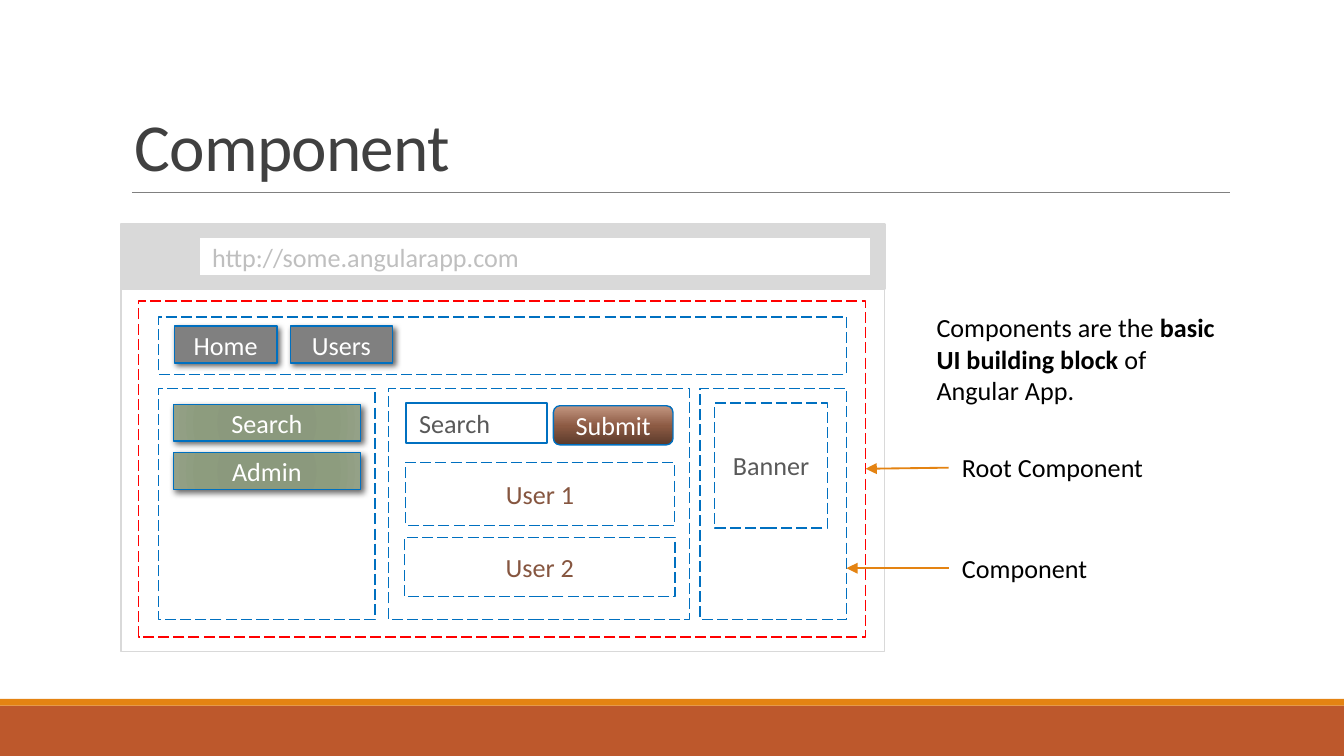
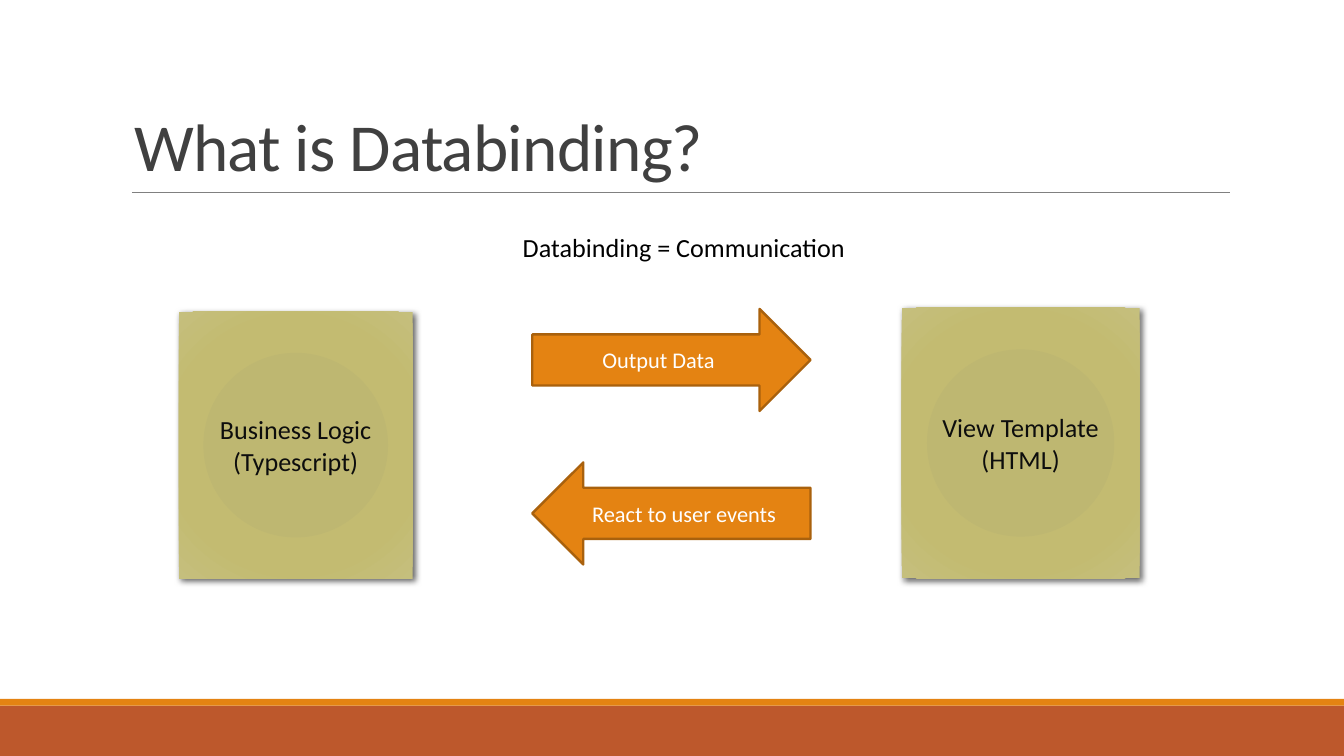
from lxml import etree
from pptx import Presentation
from pptx import util as u
from pptx.dml.color import RGBColor
from pptx.enum import dml, shapes, text
from pptx.oxml.ns import nsdecls, qn

Cm, Pt = u.Cm, u.Pt
SHAPE, ALIGN, ANCHOR = shapes.MSO_SHAPE, text.PP_ALIGN, text.MSO_ANCHOR

WHITE = RGBColor(0xFF, 0xFF, 0xFF)
BLACK = RGBColor(0x00, 0x00, 0x00)
INK = RGBColor(0x0D, 0x0D, 0x0D)
TITLE = RGBColor(0x40, 0x40, 0x40)
DARK_GREY = RGBColor(0x59, 0x59, 0x59)
GREY = RGBColor(0x80, 0x80, 0x80)
PALE_GREY = RGBColor(0xBF, 0xBF, 0xBF)
FRAME = RGBColor(0xD9, 0xD9, 0xD9)
RUST = RGBColor(0xBD, 0x58, 0x2C)
ORANGE = RGBColor(0xE4, 0x83, 0x12)
DARK_ORANGE = RGBColor(0xA9, 0x61, 0x0D)
BROWN = RGBColor(0x86, 0x56, 0x40)
BLUE = RGBColor(0x00, 0x70, 0xC0)
RED = RGBColor(0xFF, 0x00, 0x00)

# Gradients as (position %, colour) stops
SAGE = [(0, RGBColor(0x8A, 0x98, 0x7B)), (34, RGBColor(0x8B, 0x99, 0x7D)),
        (70, RGBColor(0x8D, 0x9C, 0x7E)), (100, RGBColor(0x94, 0xA1, 0x87))]
OLIVE = [(0, RGBColor(0xBE, 0xB7, 0x6E)), (34, RGBColor(0xBE, 0xB7, 0x71)),
         (70, RGBColor(0xC3, 0xBB, 0x71)), (100, RGBColor(0xC5, 0xBF, 0x7D))]
COPPER = [(0, RGBColor(0x5A, 0x3A, 0x2B)), (48, RGBColor(0x8C, 0x5A, 0x43)),
          (100, RGBColor(0xC2, 0x95, 0x80))]
RADIAL = ('<a:path path="circle"><a:fillToRect l="100000" t="100000" '
          'r="100000" b="100000"/></a:path>')
UPWARD = '<a:lin ang="16200000" scaled="0"/>'


def add_run(p, words, color, size=14, **formats):
    r = p.add_run()
    r.text = words
    formats = {"name": "Calibri", "size": Pt(size), **formats}
    for name, value in formats.items():
        setattr(r.font, name, value)
    r.font.color.rgb = color
    return r


def fill_gradient(s, stops, direction):
    marks = "".join(f'<a:gs pos="{pos * 1000}"><a:srgbClr val="{color}"/></a:gs>'
                    for pos, color in stops)
    xml = (f'<a:gradFill {nsdecls("a")} rotWithShape="1"><a:gsLst>{marks}</a:gsLst>'
           f'{direction}</a:gradFill>')
    s._element.spPr.find(qn("a:prstGeom")).addnext(etree.fromstring(xml))


def add_shadow(s, blur):
    xml = (f'<a:outerShdw {nsdecls("a")} blurRad="{Pt(blur)}" dist="{Pt(2)}" '
           'dir="2700000" algn="tl" rotWithShape="0"><a:srgbClr val="000000">'
           '<a:alpha val="60000"/></a:srgbClr></a:outerShdw>')
    s._element.spPr.find(qn("a:effectLst")).append(etree.fromstring(xml))


def add_box(slide, box, fill=None, line=None, width=0.75, dashed=False, shadow=0,
            words="", color=WHITE, size=14, align=ALIGN.CENTER,
            kind=SHAPE.RECTANGLE, direction=RADIAL):
    """Add a preset shape; fill is a colour, a list of gradient stops or None."""
    s = slide.shapes.add_shape(kind, *map(Cm, box))
    s.shadow.inherit = False
    if isinstance(fill, list):
        fill_gradient(s, fill, direction)
    elif fill is None:
        s.fill.background()
    else:
        s.fill.solid()
        s.fill.fore_color.rgb = fill
    if line is None:
        s.line.fill.background()
    else:
        s.line.color.rgb = line
        s.line.width = Pt(width)
    if dashed:
        s.line.dash_style = dml.MSO_LINE.LONG_DASH
    if shadow:
        add_shadow(s, shadow)
    if words:
        tf = s.text_frame
        tf.vertical_anchor = ANCHOR.MIDDLE
        for i, row in enumerate(words.split("\n")):
            p = tf.add_paragraph() if i else tf.paragraphs[0]
            p.alignment = align
            add_run(p, row, color, size)
    return s


def add_outline(slide, box, words="", color=DARK_GREY):
    """Add the dashed blue frame that marks a component."""
    add_box(slide, box, line=BLUE, dashed=True, words=words, color=color)


def add_label(slide, box, *parts, wrap=False):
    """Add a text box from (words, bold) parts."""
    tf = slide.shapes.add_textbox(*map(Cm, box)).text_frame
    tf.word_wrap = wrap
    tf.auto_size = text.MSO_AUTO_SIZE.SHAPE_TO_FIT_TEXT
    for words, bold in parts:
        add_run(tf.paragraphs[0], words, BLACK, bold=bold)


def add_line(slide, x1, y1, x2, y2, color, width, arrow=False):
    c = slide.shapes.add_connector(shapes.MSO_CONNECTOR.STRAIGHT,
                                   *map(Cm, (x1, y1, x2, y2)))
    c.line.color.rgb = color
    c.line.width = Pt(width)
    if arrow:
        etree.SubElement(c.line._get_or_add_ln(), qn("a:tailEnd"), type="triangle")
    etree.SubElement(c._element.spPr, qn("a:effectLst"))


def add_slide(prs, title):
    """Add a blank slide with the footer bands, title and title rule."""
    slide = prs.slides.add_slide(prs.slide_layouts[6])
    add_box(slide, (0, 13.34, 25.4, 0.95), RUST)
    add_box(slide, (0, 13.21, 25.4, 0.13), ORANGE)
    add_line(slide, 2.49, 3.63, 23.24, 3.63, GREY, 0.5)
    tf = slide.shapes.add_textbox(*map(Cm, (2.29, 0.61, 20.96, 3.02))).text_frame
    tf.word_wrap = True
    tf.vertical_anchor = ANCHOR.BOTTOM
    p = tf.paragraphs[0]
    p.line_spacing = 0.85
    r = add_run(p, title, TITLE, 36)
    r._r.get_or_add_rPr().set("spc", "-40")
    return slide


def draw_browser(slide):
    root = add_box(slide, (2.62, 5.69, 13.74, 6.35), WHITE, RED, dashed=True)
    white = root._element.spPr.find(qn("a:solidFill"))[0]
    etree.SubElement(white, qn("a:alpha"), val="45000")
    add_box(slide, (2.29, 4.24, 14.43, 8.08), line=FRAME)
    add_box(slide, (2.29, 4.24, 14.43, 1.22), FRAME, FRAME, 1.25)
    add_box(slide, (3.76, 4.47, 12.7, 0.76), WHITE, FRAME, 1.25, align=ALIGN.LEFT,
            words="http://some.angularapp.com", color=PALE_GREY)

    add_outline(slide, (3, 5.99, 13, 1.09))
    for left, width in ((3, 4.09), (7.34, 5.69), (13.23, 2.77)):
        add_outline(slide, (left, 7.34, width, 4.37))

    for i, words in enumerate(("Home", "Users")):
        add_box(slide, (3.3 + 2.19 * i, 6.17, 1.93, 0.69), GREY, BLUE, 1,
                shadow=3, words=words)
    for i, words in enumerate(("Search", "Admin")):
        add_box(slide, (3.28, 7.65 + 0.91 * i, 3.53, 0.69), SAGE, BLUE,
                shadow=3.5, words=words)

    add_box(slide, (7.67, 7.62, 2.67, 0.76), WHITE, BLUE, 1.25, words="Search",
            color=DARK_GREY, align=ALIGN.LEFT)
    add_box(slide, (10.46, 7.67, 2.26, 0.74), COPPER, BLUE, words="Submit",
            kind=SHAPE.ROUNDED_RECTANGLE, direction=UPWARD)
    add_outline(slide, (7.67, 8.74, 5.08, 1.19), "User 1", BROWN)
    add_outline(slide, (7.65, 10.16, 5.11, 1.12), "User 2", BROWN)
    add_outline(slide, (13.51, 7.62, 2.13, 2.36), "Banner")


def draw_component_slide(prs):
    slide = add_slide(prs, "Component")
    draw_browser(slide)
    add_label(slide, (17.45, 5.77, 5.97, 2.06), ("Components are the ", False),
              ("basic UI building block", True), (" of Angular App.", False), wrap=True)
    add_label(slide, (17.93, 8.41, 3.96, 0.86), ("Root Component", False))
    add_label(slide, (17.93, 10.31, 2.9, 0.86), ("Component", False))
    add_line(slide, 17.93, 8.84, 16.36, 8.86, ORANGE, 1, arrow=True)
    add_line(slide, 17.93, 10.74, 16, 10.74, ORANGE, 1, arrow=True)


def draw_databinding_slide(prs):
    slide = add_slide(prs, "What is Databinding?")
    add_label(slide, (9.63, 4.24, 6.65, 0.86), ("Databinding = Communication", False))
    for box, words in (((3.38, 5.89, 4.42, 5.05), "Business Logic\n(Typescript)"),
                       ((17.04, 5.82, 4.5, 5.11), "View Template\n(HTML)")):
        add_box(slide, box, OLIVE, shadow=3.5, words=words, color=INK)
    for top, kind, words in ((5.84, SHAPE.RIGHT_ARROW, "Output Data"),
                             (8.74, SHAPE.LEFT_ARROW, "React to user events")):
        add_box(slide, (10.06, top, 5.26, 1.93), ORANGE, DARK_ORANGE, 1.25,
                words=words, size=12, kind=kind)


def main():
    prs = Presentation()
    prs.slide_width, prs.slide_height = Cm(25.4), Cm(14.29)
    draw_component_slide(prs)
    draw_databinding_slide(prs)
    prs.save("out.pptx")


if __name__ == "__main__":
    main()
